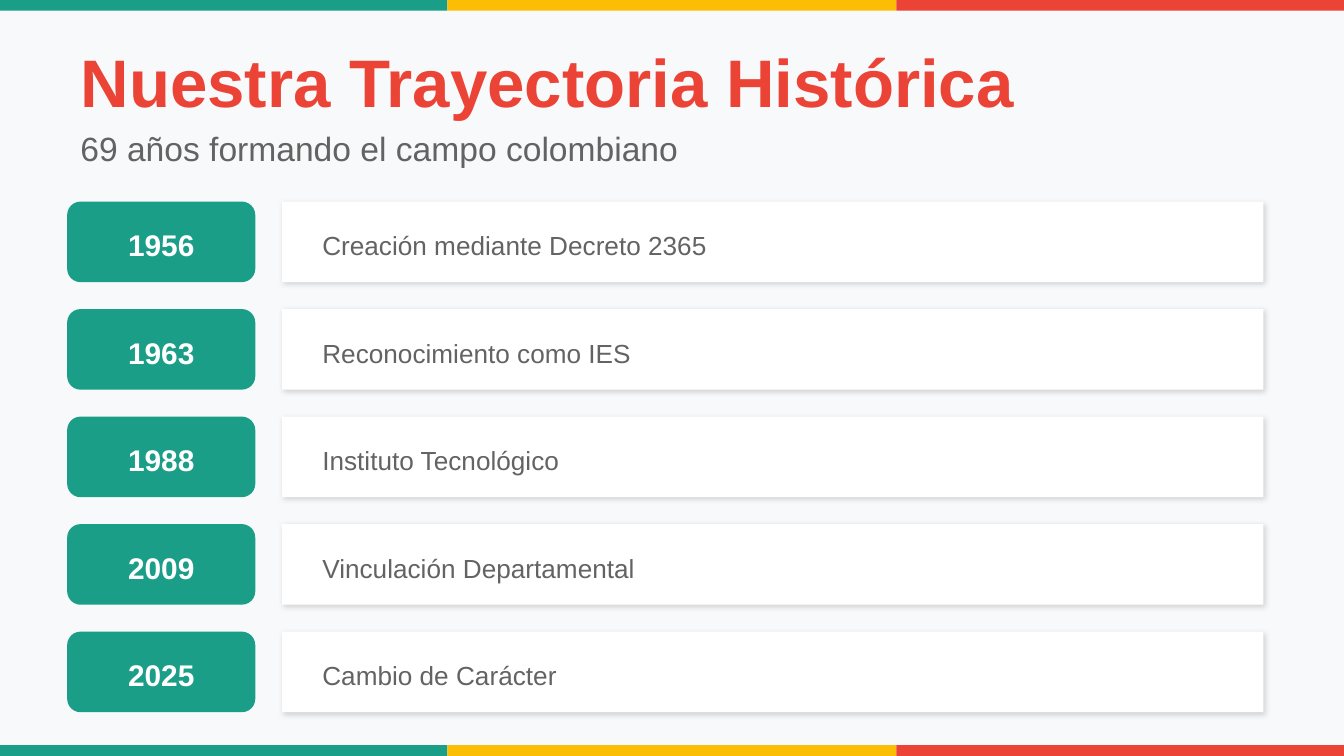
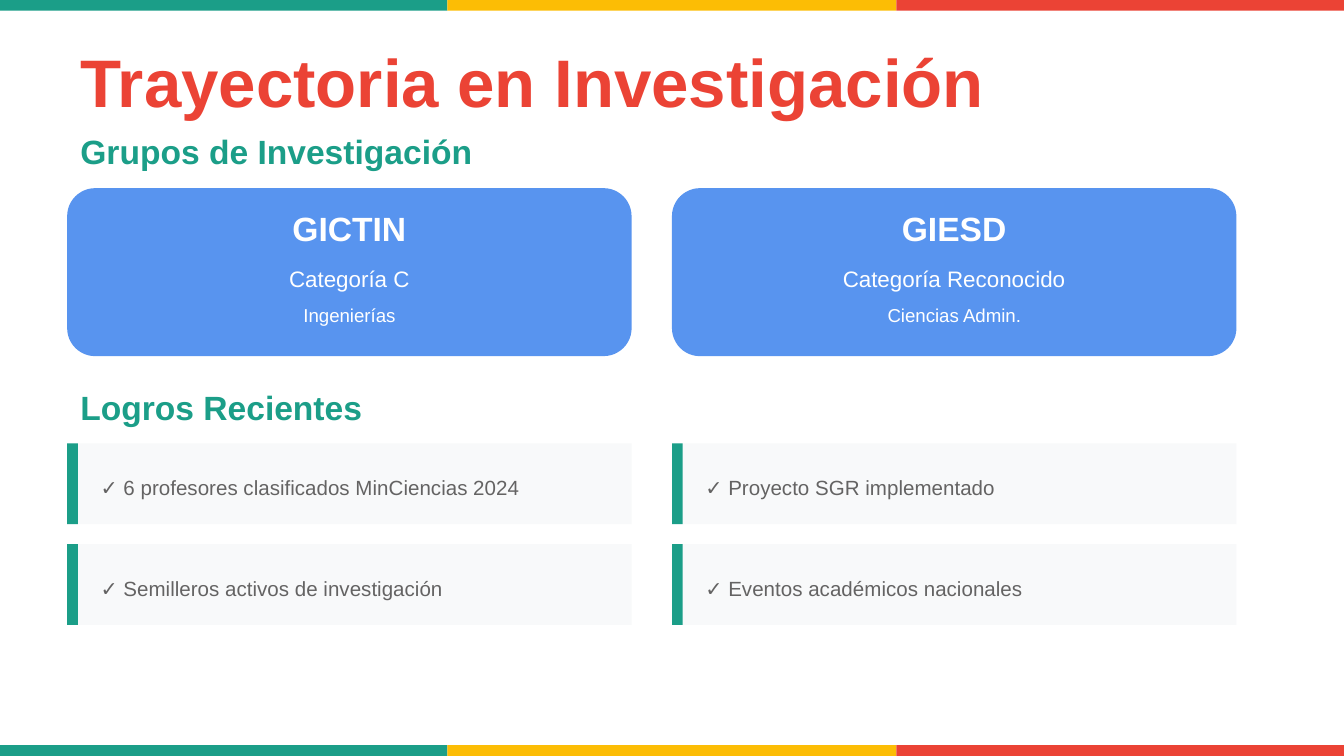
from typing import NamedTuple

from lxml import etree
from pptx import Presentation
from pptx.dml.color import RGBColor
from pptx.enum.shapes import MSO_SHAPE
from pptx.enum.text import MSO_ANCHOR, MSO_AUTO_SIZE, PP_ALIGN
from pptx.oxml.ns import qn
from pptx.shapes.autoshape import Shape
from pptx.slide import Slide
from pptx.util import Inches, Pt

RECT, ROUNDED = MSO_SHAPE.RECTANGLE, MSO_SHAPE.ROUNDED_RECTANGLE
LEFT, CENTER = PP_ALIGN.LEFT, PP_ALIGN.CENTER
MIDDLE, NO_AUTOFIT = MSO_ANCHOR.MIDDLE, MSO_AUTO_SIZE.NONE

FONT = "Arial"
COLORS = {
    "green": "1B9E88",
    "yellow": "FCBD05",
    "red": "EB4335",
    "blue": "5894EF",
    "gray": "646363",
    "light": "F8F9FA",
    "white": "FFFFFF",
    "black": "000000",
}
TITLE_ONLY = 5
SLIDE_WIDTH = Inches(10)
SLIDE_HEIGHT = SLIDE_WIDTH * 9 // 16
BAND_HEIGHT = Inches(0.08)
MARGIN = Inches(0.5)
CONTENT_WIDTH = Inches(9)
ROW_HEIGHT = Inches(0.6)


class Area(NamedTuple):
    left: int
    top: int
    width: int
    height: int


class TextStyle(NamedTuple):
    size: int
    color: str
    bold: bool = False
    align: PP_ALIGN = LEFT


class Milestone(NamedTuple):
    year: str
    event: str


class ResearchGroup(NamedTuple):
    name: str
    category: str
    field: str


TITLE = TextStyle(36, "red", bold=True)
SUBTITLE = TextStyle(18, "gray")
SECTION = TextStyle(18, "green", bold=True)
YEAR = TextStyle(16, "white", bold=True, align=CENTER)
EVENT = TextStyle(14, "gray")
GROUP_NAME = TextStyle(18, "white", bold=True, align=CENTER)
GROUP_CATEGORY = TextStyle(12, "white", align=CENTER)
GROUP_FIELD = TextStyle(10, "white", align=CENTER)
ACHIEVEMENT = TextStyle(11, "gray")

MILESTONES = [
    Milestone("1956", "Creación mediante Decreto 2365"),
    Milestone("1963", "Reconocimiento como IES"),
    Milestone("1988", "Instituto Tecnológico"),
    Milestone("2009", "Vinculación Departamental"),
    Milestone("2025", "Cambio de Carácter"),
]
GROUPS = [
    ResearchGroup("GICTIN", "Categoría C", "Ingenierías"),
    ResearchGroup("GIESD", "Categoría Reconocido", "Ciencias Admin."),
]
ACHIEVEMENTS = [
    "✓ 6 profesores clasificados MinCiencias 2024",
    "✓ Proyecto SGR implementado",
    "✓ Semilleros activos de investigación",
    "✓ Eventos académicos nacionales",
]


def rgb(name: str) -> RGBColor:
    return RGBColor.from_string(COLORS[name])


# Building pieces
def write(box: Shape, text: str, style: TextStyle) -> None:
    frame = box.text_frame
    frame.text = text
    frame.word_wrap = True
    frame.auto_size = NO_AUTOFIT
    frame.vertical_anchor = MIDDLE
    para = frame.paragraphs[0]
    para.alignment = style.align
    para.font.name = FONT
    para.font.size = Pt(style.size)
    para.font.bold = style.bold
    para.font.color.rgb = rgb(style.color)


def add_text(page: Slide, area: Area, text: str, style: TextStyle) -> None:
    write(page.shapes.add_textbox(*area), text, style)


def add_block(page: Slide, area: Area, color: str, kind: MSO_SHAPE = RECT) -> Shape:
    block = page.shapes.add_shape(kind, *area)
    block.shadow.inherit = False
    block.fill.solid()
    block.fill.fore_color.rgb = rgb(color)
    block.line.fill.background()
    return block


def add_soft_shadow(block: Shape) -> None:
    effects = block._element.spPr.find(qn("a:effectLst"))
    shadow = etree.SubElement(
        effects, qn("a:outerShdw"), blurRad=str(Pt(3)), dist=str(Pt(1)),
        dir=str(45 * 60000), algn="bl", rotWithShape="0",
    )
    color = etree.SubElement(shadow, qn("a:srgbClr"), val=COLORS["black"])
    etree.SubElement(color, qn("a:alpha"), val="15000")


def add_page(deck: Presentation, title: str, background: str) -> Slide:
    page = deck.slides.add_slide(deck.slide_layouts[TITLE_ONLY])
    page.background.fill.solid()
    page.background.fill.fore_color.rgb = rgb(background)

    # Three-colour bands at the top and bottom edges
    edges = [0, Inches(3.33), Inches(6.67), SLIDE_WIDTH]
    for top in (0, SLIDE_HEIGHT - BAND_HEIGHT):
        for start, end, color in zip(edges, edges[1:], ("green", "yellow", "red")):
            add_block(page, Area(start, top, end - start, BAND_HEIGHT), color)

    heading = page.shapes.title
    heading.left, heading.top = MARGIN, Inches(0.3)
    heading.width, heading.height = CONTENT_WIDTH, Inches(0.6)
    write(heading, title, TITLE)
    return page


# Slide 1: timeline
def add_milestone(page: Slide, top: int, milestone: Milestone) -> None:
    year_width = Inches(1.4)
    add_block(page, Area(MARGIN, top, year_width, ROW_HEIGHT), "green", ROUNDED)
    add_text(page, Area(MARGIN, top + Inches(0.12), year_width, Inches(0.4)),
             milestone.year, YEAR)
    card = add_block(page, Area(Inches(2.1), top, Inches(7.3), ROW_HEIGHT), "white")
    add_soft_shadow(card)
    add_text(page, Area(Inches(2.3), top + Inches(0.15), Inches(7), Inches(0.35)),
             milestone.event, EVENT)


def build_history(deck: Presentation) -> None:
    page = add_page(deck, "Nuestra Trayectoria Histórica", "light")
    add_text(page, Area(MARGIN, Inches(0.9), CONTENT_WIDTH, Inches(0.4)),
             "69 años formando el campo colombiano", SUBTITLE)
    for row, milestone in enumerate(MILESTONES):
        add_milestone(page, Inches(1.5) + row * Inches(0.8), milestone)


# Slide 2: research groups and achievements
COLUMN_WIDTH = Inches(4.2)
COLUMN_STEP = Inches(4.5)


def add_section(page: Slide, top: int, text: str) -> None:
    add_text(page, Area(MARGIN, top, CONTENT_WIDTH, Inches(0.35)), text, SECTION)


def add_group(page: Slide, left: int, group: ResearchGroup) -> None:
    add_block(page, Area(left, Inches(1.4), COLUMN_WIDTH, Inches(1.25)), "blue", ROUNDED)
    lines = [
        (1.5, 0.4, group.name, GROUP_NAME),
        (1.92, 0.3, group.category, GROUP_CATEGORY),
        (2.22, 0.25, group.field, GROUP_FIELD),
    ]
    for top, height, text, style in lines:
        add_text(page, Area(left, Inches(top), COLUMN_WIDTH, Inches(height)), text, style)


def add_achievement(page: Slide, left: int, top: int, text: str) -> None:
    add_block(page, Area(left, top, COLUMN_WIDTH, ROW_HEIGHT), "light")
    add_block(page, Area(left, top, Inches(0.08), ROW_HEIGHT), "green")
    add_text(page, Area(left + Inches(0.15), top + Inches(0.15), Inches(4), Inches(0.35)),
             text, ACHIEVEMENT)


def build_research(deck: Presentation) -> None:
    page = add_page(deck, "Trayectoria en Investigación", "white")
    add_section(page, Inches(0.95), "Grupos de Investigación")
    for column, group in enumerate(GROUPS):
        add_group(page, MARGIN + column * COLUMN_STEP, group)

    add_section(page, Inches(2.85), "Logros Recientes")
    for index, text in enumerate(ACHIEVEMENTS):
        row, column = divmod(index, 2)
        add_achievement(page, MARGIN + column * COLUMN_STEP,
                        Inches(3.3) + row * Inches(0.75), text)


def main() -> None:
    deck = Presentation()
    deck.slide_width, deck.slide_height = SLIDE_WIDTH, SLIDE_HEIGHT
    build_history(deck)
    build_research(deck)
    deck.save("out.pptx")


if __name__ == "__main__":
    main()
